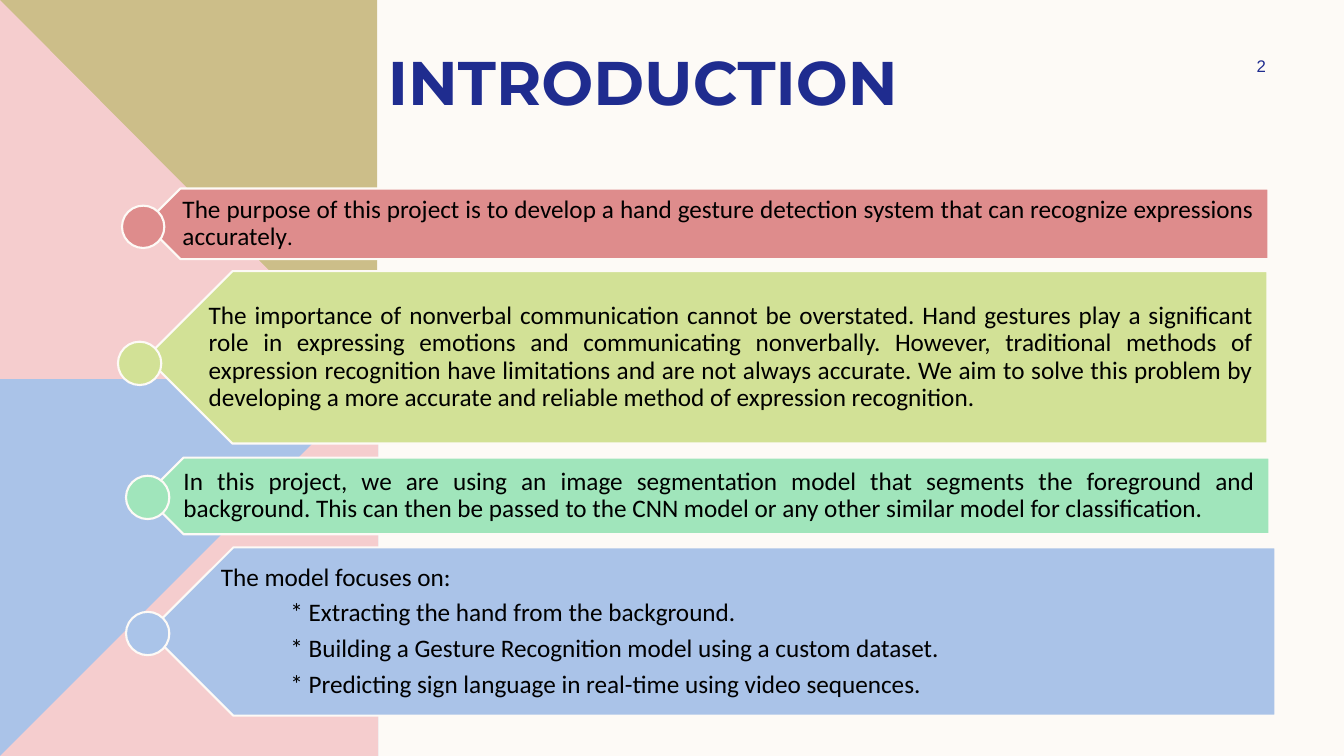
from dataclasses import dataclass

from pptx import Presentation
from pptx.dml.color import RGBColor
from pptx.enum.shapes import MSO_SHAPE
from pptx.enum.text import MSO_ANCHOR, PP_ALIGN
from pptx.util import Emu, Pt

RECT, PLATE, OVAL = MSO_SHAPE.RECTANGLE, MSO_SHAPE.PENTAGON, MSO_SHAPE.OVAL
MIDDLE = MSO_ANCHOR.MIDDLE
LEFT, CENTER, JUSTIFY = PP_ALIGN.LEFT, PP_ALIGN.CENTER, PP_ALIGN.JUSTIFY

PX = 9144  # EMU per px, 100 px to the inch
COLORS = {
    "cream": "FDFAF6", "navy": "1F2C8F", "black": "000000",
    "sky": "AAC3E8", "pink": "F5CDCE", "sand": "CCBE89",
    "rose": "DE8C8C", "lime": "D2E196", "mint": "A0E5BB", "dot": "AAC4E9",
}
Box = tuple[int, int, int, int]


@dataclass
class Tile:
    box: Box
    color: str
    corners: list[tuple[int, int]]
    front: str


@dataclass
class Panel:
    plate: Box
    text: Box
    dot: Box
    color: str
    ring: str
    lines: list[str]
    tail: str = ""
    first: int = 0
    rest: int = 0
    right: int = 14


TILES = [
    Tile((0, 375, 375, 375), "sky", [(375, 375), (375, 750), (0, 750)], "pink"),
    Tile((0, 0, 374, 376), "sand", [(0, 0), (374, 376), (0, 376)], "pink"),
]
PANELS = [
    Panel((144, 187, 1114, 70), (162, 187, 1096, 70), (121, 204, 42, 42),
          "rose", "rose",
          ["The purpose of this project is to develop a hand gesture detection "
           "system that can recognize expressions accurately"], tail="."),
    Panel((145, 269, 1112, 171), (188, 269, 1069, 171), (117, 339, 43, 43),
          "lime", "lime",
          ["The importance of nonverbal communication cannot be overstated. "
           "Hand gestures play a significant role in expressing emotions and "
           "communicating nonverbally. However, traditional methods of "
           "expression recognition have limitations and are not always "
           "accurate. We aim to solve this problem by developing a more "
           "accurate and reliable method of expression recognition."]),
    Panel((144, 454, 1115, 76), (163, 454, 1096, 76), (125, 472, 43, 43),
          "mint", "mint",
          ["In this project, we are using an image segmentation model that "
           "segments the foreground and background. This can then be passed "
           "to the CNN model or any other similar model for classification."]),
    Panel((148, 543, 1117, 167), (190, 543, 1075, 167), (125, 607, 43, 43),
          "sky", "dot",
          ["The model focuses on:",
           "* Extracting the hand from the background.",
           "* Building a Gesture Recognition model using a custom dataset.",
           "* Predicting sign language in real-time using video sequences."],
          first=10, rest=79, right=12),
]


def scale(box: Box) -> list[Emu]:
    return [Emu(n * PX) for n in box]


def paint(shape, color: str, edge: str = "") -> None:
    shape.shadow.inherit = False
    shape.fill.solid()
    shape.fill.fore_color.rgb = RGBColor.from_string(COLORS[color])
    if edge:
        shape.line.color.rgb = RGBColor.from_string(COLORS[edge])
        shape.line.width = Pt(1.5)
    else:
        shape.line.fill.background()


def style(run, font: str, size: int, color: str, bold: bool = False) -> None:
    run.font.name = font
    run.font.size = Pt(size)
    run.font.bold = bold
    run.font.color.rgb = RGBColor.from_string(COLORS[color])


def add_frame(slide, box: Box, text: str):
    frame = slide.shapes.add_textbox(*scale(box)).text_frame
    frame.word_wrap = True
    frame.vertical_anchor = MIDDLE
    frame.text = text
    return frame


def add_label(slide, box: Box, text: str, font: str, size: int,
              align: PP_ALIGN, bold: bool = False) -> None:
    line = add_frame(slide, box, text).paragraphs[0]
    line.alignment = align
    style(line.runs[0], font, size, "navy", bold)


def add_tile(slide, tile: Tile) -> None:
    paint(slide.shapes.add_shape(RECT, *scale(tile.box)), tile.color)
    start, *others = tile.corners
    pen = slide.shapes.build_freeform(*start, scale=PX)
    pen.add_line_segments(others, close=True)
    paint(pen.convert_to_shape(), tile.front)


def add_panel(slide, panel: Panel) -> None:
    plate = slide.shapes.add_shape(PLATE, *scale(panel.plate))
    plate.rotation = 180
    paint(plate, panel.color, "cream")

    frame = add_frame(slide, panel.text, "\n".join(panel.lines))
    frame.margin_left, frame.margin_right = scale((19, panel.right))
    frame.margin_top = frame.margin_bottom = Emu(7 * PX)
    for i, line in enumerate(frame.paragraphs):
        line.alignment = JUSTIFY
        line.line_spacing = 0.9
        line.space_after = Pt(6)
        inset = panel.rest if i else panel.first
        line._p.get_or_add_pPr().set("marL", str(inset * PX))
        style(line.runs[0], "Calibri", 18, "black")
    if panel.tail:
        end = frame.paragraphs[-1].add_run()
        end.text = panel.tail
        style(end, "Calibri", 16, "black")

    paint(slide.shapes.add_shape(OVAL, *scale(panel.dot)), panel.ring, "cream")


def main() -> None:
    deck = Presentation()
    deck.slide_width, deck.slide_height = scale((1333, 750))
    slide = deck.slides.add_slide(deck.slide_layouts[6])

    # Backdrop
    back = slide.background.fill
    back.solid()
    back.fore_color.rgb = RGBColor.from_string(COLORS["cream"])
    for tile in TILES:
        add_tile(slide, tile)

    # Title and panels
    add_label(slide, (375, 38, 740, 84), "INTRODUCTION", "Montserrat", 44,
              LEFT, bold=True)
    for panel in PANELS:
        add_panel(slide, panel)

    # Page number
    add_label(slide, (1197, 50, 108, 30), "2", "Arial", 12, CENTER)
    deck.save("out.pptx")


if __name__ == "__main__":
    main()
